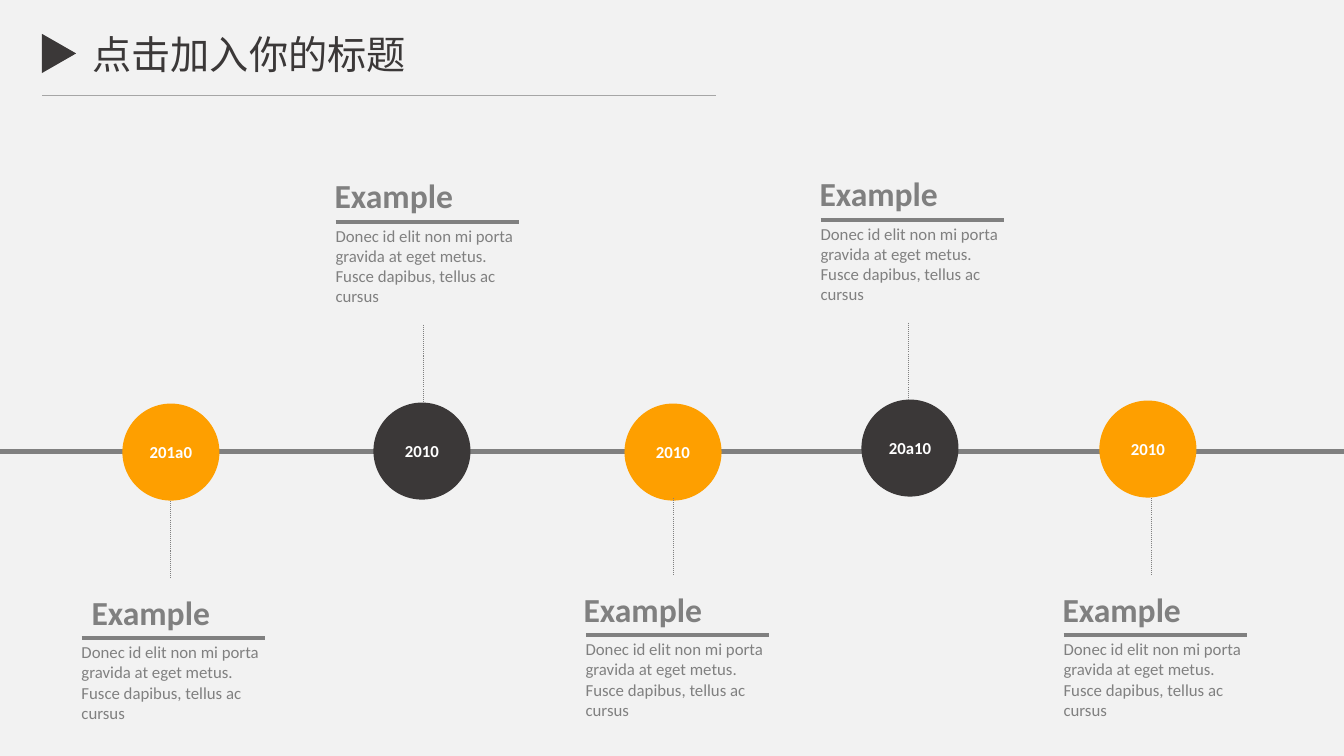
from collections import namedtuple

from lxml.etree import SubElement
from pptx import Presentation
from pptx.dml.color import RGBColor
from pptx.enum.dml import MSO_LINE
from pptx.enum.shapes import MSO_CONNECTOR, MSO_SHAPE
from pptx.enum.text import MSO_ANCHOR, MSO_AUTO_SIZE, PP_ALIGN
from pptx.oxml.ns import qn
from pptx.util import Emu, Pt

EMU_PER_PX = 9144
SLIDE_WIDTH, SLIDE_HEIGHT = 1333, 750
DISC_SIZE = 91
STEM_LENGTH = 77
COLORS = {
    "background": "F2F2F2",
    "dark": "3B3838",
    "orange": "FE9F00",
    "gray": "808080",
    "hairline": "A6A6A6",
    "white": "FFFFFF",
}
DESCRIPTION = (
    "Donec id elit non mi porta gravida at eget metus. "
    "Fusce dapibus, tellus ac cursus"
)

Milestone = namedtuple(
    "Milestone", "year color disc_x disc_y stem_x stem_y rule_x rule_y heading_x"
)
MILESTONES = [
    Milestone("201a0", "orange", 124, 403, 169, 497, 81, 633, 81),
    Milestone("2010", "dark", 373, 402, 420, 322, 333, 220, 322),
    Milestone("2010", "orange", 622, 403, 668, 494, 581, 630, 569),
    Milestone("20a10", "dark", 857, 399, 901, 320, 814, 218, 803),
    Milestone("2010", "orange", 1093, 400, 1142, 494, 1055, 630, 1044),
]


def px(length):
    return Emu(length * EMU_PER_PX)


def color(name):
    return RGBColor.from_string(COLORS[name])


def write(frame, text, *, size, fill, font="Calibri", bold=False,
          align=PP_ALIGN.LEFT, anchor=MSO_ANCHOR.TOP, insets=(10, 5)):
    frame.word_wrap = True
    frame.auto_size = MSO_AUTO_SIZE.NONE
    frame.vertical_anchor = anchor
    frame.margin_left = frame.margin_right = px(insets[0])
    frame.margin_top = frame.margin_bottom = px(insets[1])
    paragraph = frame.paragraphs[0]
    paragraph.alignment = align
    run = paragraph.add_run()
    run.text = text
    run.font.size = Pt(size)
    run.font.bold = bold
    run.font.color.rgb = color(fill)
    run.font.name = font
    SubElement(run.font._element, qn("a:ea"), typeface=font)


def add_text(slide, x, y, width, height, text, **text_format):
    box = slide.shapes.add_textbox(px(x), px(y), px(width), px(height))
    write(box.text_frame, text, **text_format)


def add_shape(slide, preset, x, y, width, height, fill):
    shape = slide.shapes.add_shape(preset, px(x), px(y), px(width), px(height))
    shape.shadow.inherit = False
    shape.fill.solid()
    shape.fill.fore_color.rgb = color(fill)
    shape.line.fill.background()
    return shape


def add_line(slide, x1, y1, x2, y2, stroke, weight, dash=None):
    connector = slide.shapes.add_connector(
        MSO_CONNECTOR.STRAIGHT, px(x1), px(y1), px(x2), px(y2)
    )
    connector.line.color.rgb = color(stroke)
    connector.line.width = Pt(weight)
    if dash:
        connector.line.dash_style = dash
    SubElement(connector._element.spPr, qn("a:effectLst"))


def add_header(slide):
    title = slide.shapes.title
    title.left, title.top = px(59), px(30)
    title.width, title.height = px(376), px(47)
    write(title.text_frame, "点击加入你的标题", size=28, fill="dark",
          font="Noto Sans CJK SC", align=PP_ALIGN.CENTER,
          anchor=MSO_ANCHOR.MIDDLE, insets=(0, 0))
    marker = add_shape(slide, MSO_SHAPE.ISOSCELES_TRIANGLE, 39, 36, 39, 34, "dark")
    marker.rotation = 90
    add_line(slide, 42, 95, 710, 95, "hairline", 0.5)


def add_milestone(slide, item):
    disc = add_shape(slide, MSO_SHAPE.OVAL, item.disc_x, item.disc_y,
                     DISC_SIZE, DISC_SIZE, item.color)
    disc.line.color.rgb = color(item.color)
    disc.line.width = Pt(3.8)
    write(disc.text_frame, item.year, size=12, fill="white", bold=True,
          align=PP_ALIGN.CENTER, anchor=MSO_ANCHOR.MIDDLE, insets=(0, 0))
    add_line(slide, item.stem_x, item.stem_y, item.stem_x,
             item.stem_y + STEM_LENGTH, "gray", 0.75, MSO_LINE.ROUND_DOT)
    add_text(slide, item.heading_x, item.rule_y - 51, 163, 50, "Example",
             size=24, fill="gray", bold=True)
    add_line(slide, item.rule_x, item.rule_y, item.rule_x + 182, item.rule_y,
             "gray", 3)
    add_text(slide, item.rule_x - 10, item.rule_y - 1, 203, 91, DESCRIPTION,
             size=12, fill="gray")


def main():
    deck = Presentation()
    deck.slide_width, deck.slide_height = px(SLIDE_WIDTH), px(SLIDE_HEIGHT)
    slide = deck.slides.add_slide(deck.slide_layouts[5])
    slide.background.fill.solid()
    slide.background.fill.fore_color.rgb = color("background")
    add_header(slide)
    add_line(slide, 0, 448, SLIDE_WIDTH, 448, "gray", 3.5)
    for item in MILESTONES:
        add_milestone(slide, item)
    deck.save("out.pptx")


if __name__ == "__main__":
    main()
